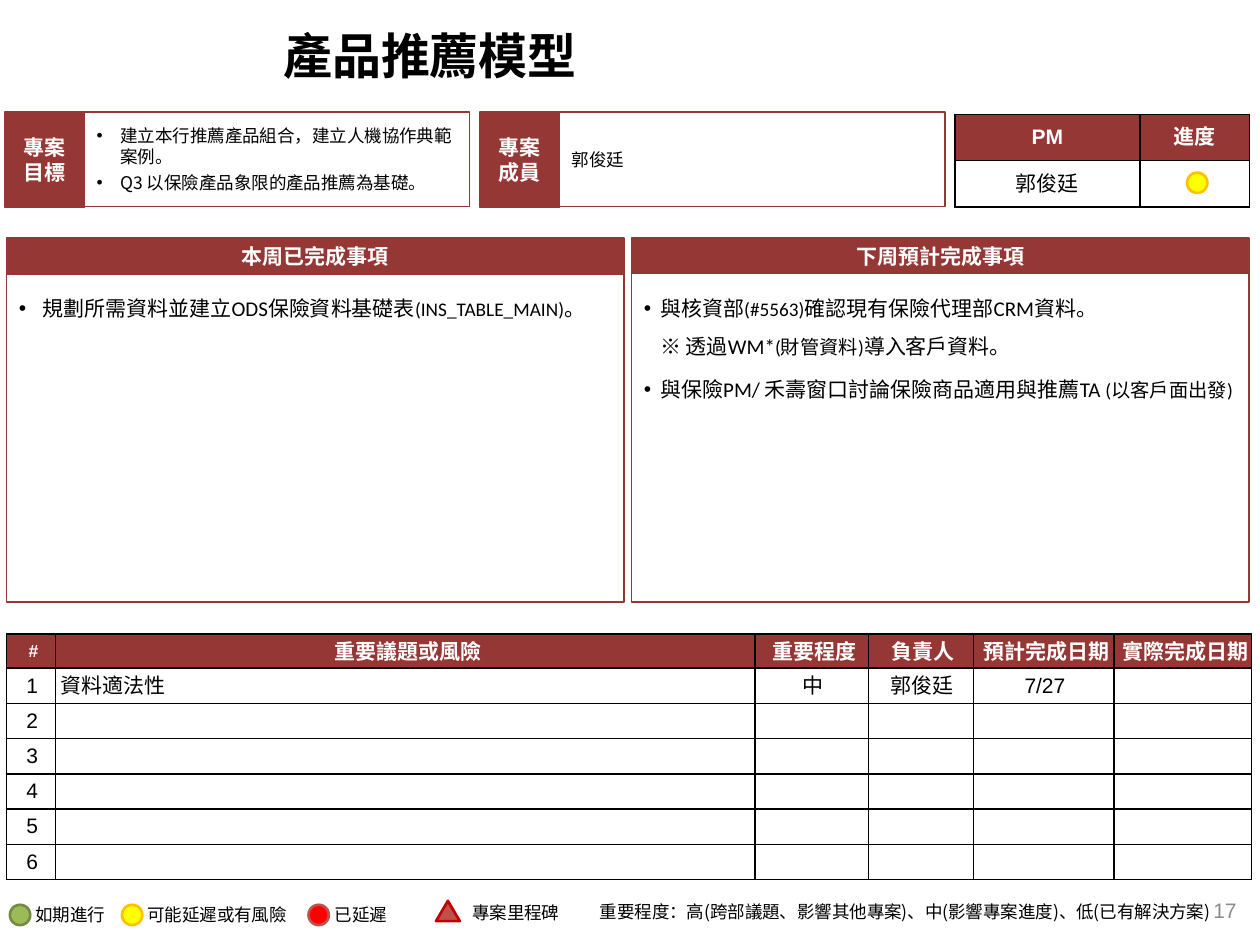
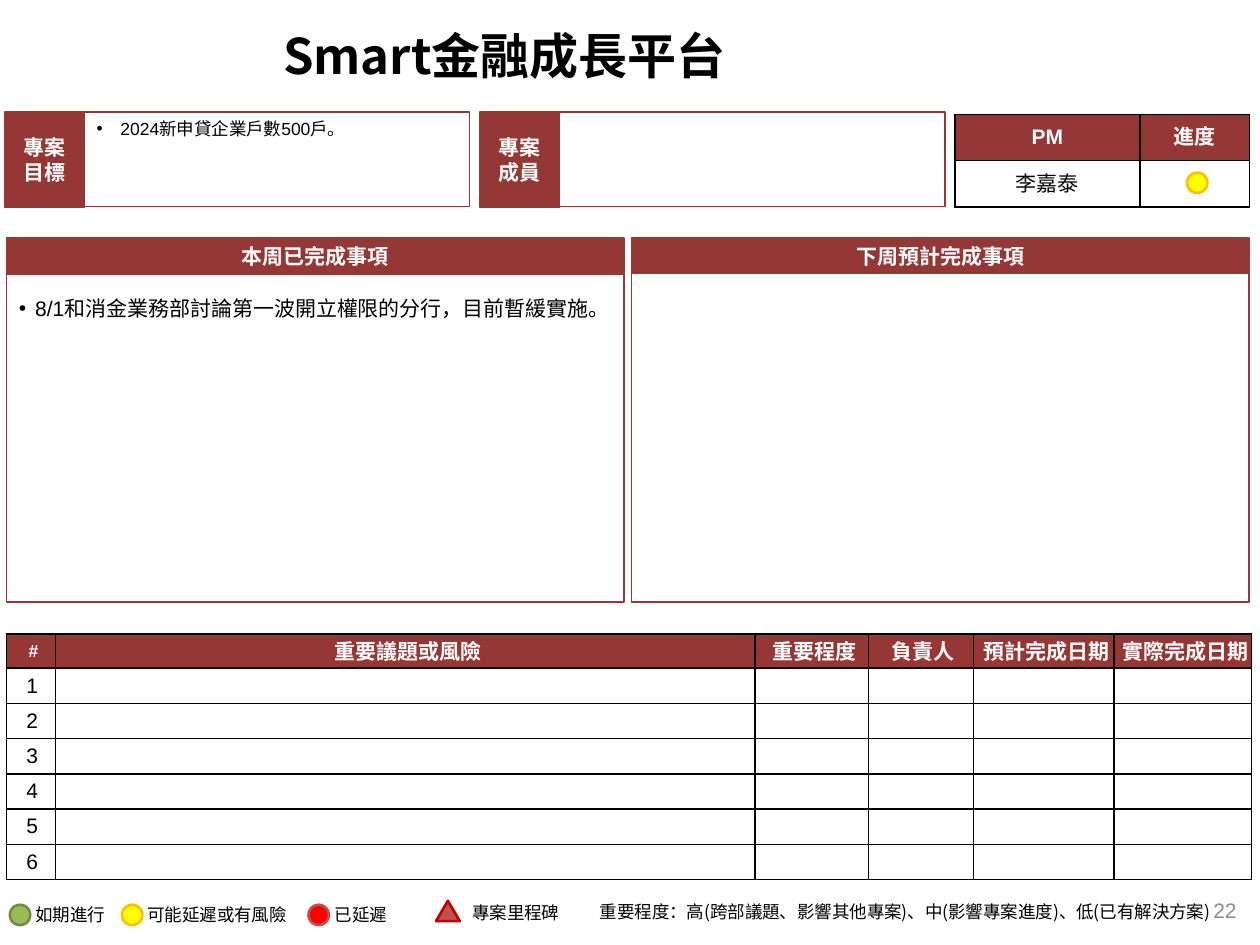
from lxml import etree
from pptx import Presentation
from pptx.dml.color import RGBColor
from pptx.enum.shapes import MSO_SHAPE
from pptx.enum.text import MSO_ANCHOR, PP_ALIGN
from pptx.oxml.ns import qn
from pptx.util import Cm, Pt

RECT, OVAL, TRIANGLE = MSO_SHAPE.RECTANGLE, MSO_SHAPE.OVAL, MSO_SHAPE.ISOSCELES_TRIANGLE
LEFT, CENTER, RIGHT = PP_ALIGN.LEFT, PP_ALIGN.CENTER, PP_ALIGN.RIGHT
TOP, MIDDLE = MSO_ANCHOR.TOP, MSO_ANCHOR.MIDDLE
color = RGBColor.from_string

MAROON, WHITE, BLACK, GREY = "953735", "FFFFFF", "000000", "8C8C8C"
ARIAL, CALIBRI, NOTO = "Arial", "Calibri", "Noto Sans CJK SC"
ON_TRACK, AT_RISK, LATE = ("9BBB59", "738A42"), ("FFFF00", "FFC000"), ("FF0000", "C0504D")
MILESTONE = ("C0504D", "C00000")
DOT = 0.41
LINE_BREAK = ("\n", 12)

ISSUE_HEADINGS = ["#", "重要議題或風險", "重要程度", "負責人", "預計完成日期", "實際完成日期"]
ISSUE_ROWS = 6
LEGEND = [
    (ON_TRACK, 0.2, "如期進行", 0.46, 1.93),
    (AT_RISK, 2.46, "可能延遲或有風險", 2.72, 3.35),
    (LATE, 6.22, "已延遲", 6.5, 1.57),
]
SEVERITY_NOTE = "重要程度：高(跨部議題、影響其他專案)、中(影響專案進度)、低(已有解決方案)"

PROJECTS = [
    {
        "title": "產品推薦模型", "title_font": ARIAL, "page": "17", "pm": "郭俊廷",
        "members": [[("郭俊廷", 10)]],
        "goals": [
            [("建立本行推薦產品組合，建立人機協作典範案例。", 10)],
            [("Q3 以保險產品象限的產品推薦為基礎。", 10)],
        ],
        "goal_font": NOTO, "goal_anchor": MIDDLE,
        "done": [[("規劃所需資料並建立ODS保險資料基礎表", 12), ("(INS_TABLE_MAIN)", 11), ("。", 12)]],
        "done_font": CALIBRI, "done_indent": 0.48,
        "next": [
            [("與核資部", 12), ("(#5563)", 11), ("確認現有保險代理部CRM資料。", 12), LINE_BREAK,
             ("※ 透過WM*", 12), ("(財管資料)", 11), ("導入客戶資料。", 12)],
            [("與保險PM/ 禾壽窗口討論保險商品適用與推薦TA ", 12), ("(以客戶面出發)", 11)],
        ],
        "issues": [["資料適法性", "中", "郭俊廷", "7/27", ""]],
    },
    {
        "title": "Smart金融成長平台", "title_font": NOTO, "page": "22", "pm": "李嘉泰",
        "members": [],
        "goals": [[("2024新申貸企業戶數500戶。", 10)]],
        "goal_font": ARIAL, "goal_anchor": TOP,
        "done": [[("8/1和消金業務部討論第一波開立權限的分行，目前暫緩實施。", 12)]],
        "done_font": ARIAL, "done_indent": 0.33,
        "next": [],
        "issues": [],
    },
]


def write(frame, paragraphs, font=ARIAL, ink=BLACK, bold=False, align=LEFT,
          indent=0, line_spacing=None, after=0):
    """Fill a text frame with paragraphs, each a list of (text, size) runs; an indent adds bullets."""
    for number, runs in enumerate(paragraphs):
        paragraph = frame.add_paragraph() if number else frame.paragraphs[0]
        paragraph.alignment = align
        paragraph.space_after = Pt(after)
        if line_spacing:
            paragraph.line_spacing = line_spacing
        if indent:
            properties = paragraph._p.get_or_add_pPr()
            properties.set("marL", str(Cm(indent)))
            properties.set("indent", str(-Cm(indent)))
            etree.SubElement(properties, qn("a:buFont"), typeface=ARIAL)
            etree.SubElement(properties, qn("a:buChar"), char="•")
        for text, size in runs:
            if text == "\n":
                paragraph.add_line_break()
                continue
            if not text:
                etree.SubElement(paragraph._p, qn("a:endParaRPr"), sz=str(size * 100))
                continue
            run = paragraph.add_run()
            run.text = text
            run.font.size = Pt(size)
            run.font.name = font
            run.font.bold = bold
            run.font.color.rgb = color(ink)
            etree.SubElement(run._r.get_or_add_rPr(), qn("a:ea"), typeface=font)


def add_box(slide, place, kind=None, fill=None, line=None, weight=0.75, anchor=TOP, wrap=True):
    """Add a shape, or a text box when no kind is given, and return its text frame."""
    lengths = [Cm(length) for length in place]
    if kind is None:
        box = slide.shapes.add_textbox(*lengths)
    else:
        box = slide.shapes.add_shape(kind, *lengths)
        box.shadow.inherit = False
        box.line.color.rgb = color(line)
        box.line.width = Pt(weight)
        if fill:
            box.fill.solid()
            box.fill.fore_color.rgb = color(fill)
        else:
            box.fill.background()
    box.text_frame.word_wrap = wrap
    box.text_frame.vertical_anchor = anchor
    return box.text_frame


prs = Presentation()
prs.slide_width, prs.slide_height = Cm(25.4), Cm(19.05)

for project in PROJECTS:
    slide = prs.slides.add_slide(prs.slide_layouts[6])

    page = add_box(slide, (19.46, 17.83, 5.72, 1.02), anchor=MIDDLE)
    write(page, [[(project["page"], 12)]], ink=GREY, align=RIGHT)
    title = add_box(slide, (5.46, 0.23, 19.35, 1.75), anchor=MIDDLE)
    write(title, [[(project["title"], 28)]], font=project["title_font"], bold=True)

    # Goal and member panels
    panels = [
        (0.1, "目標", project["goals"], project["goal_font"], project["goal_anchor"], 0.48),
        (9.68, "成員", project["members"], NOTO, MIDDLE, 0),
    ]
    for left, topic, content, font, anchor, indent in panels:
        label = add_box(slide, (left, 2.26, 1.6, 1.93), RECT, MAROON, MAROON, anchor=MIDDLE)
        write(label, [[("專案", 12)], [(topic, 12)]], ink=WHITE, bold=True, align=CENTER)
        panel = add_box(slide, (left + 1.6, 2.26, 7.77, 1.9), RECT, line=MAROON, anchor=anchor)
        write(panel, content, font=font, indent=indent, after=2.8)

    # Finished work and planned work
    weeks = [
        (0.13, 0.73, "本周已完成事項", project["done"], project["done_font"], project["done_indent"]),
        (12.73, 0.71, "下周預計完成事項", project["next"], CALIBRI, 0.33),
    ]
    for left, band_height, heading, content, font, indent in weeks:
        band = add_box(slide, (left, 4.8, 12.45, band_height), RECT, MAROON, MAROON, anchor=MIDDLE)
        write(band, [[(heading, 12)]], ink=WHITE, bold=True, align=CENTER, after=2.8)
        body = add_box(slide, (left, 5.51, 12.45, 6.63), RECT, line=MAROON)
        body.margin_top = body.margin_bottom = Cm(0.2)
        write(body, content, font=font, indent=indent, line_spacing=1.5, after=2.8)

    # Manager table and issue table
    issue_texts = [ISSUE_HEADINGS]
    for number in range(ISSUE_ROWS):
        details = project["issues"][number] if number < len(project["issues"]) else [""] * 5
        issue_texts.append([str(number + 1)] + details)
    tables = [
        (19.25, 2.31, [3.73, 2.21], [0.93] * 2, [["PM", "進度"], [project["pm"], ""]], False),
        (0.13, 12.78, [0.99, 14.1, 2.29, 2.11, 2.84, 2.77], [0.69] + [0.71] * ISSUE_ROWS,
         issue_texts, True),
    ]
    for left, top, widths, heights, texts, tight in tables:
        table = slide.shapes.add_table(len(heights), len(widths), Cm(left), Cm(top),
                                       Cm(sum(widths)), Cm(sum(heights))).table
        table.horz_banding = False
        for column, width in zip(table.columns, widths):
            column.width = Cm(width)
        for row, height in zip(table.rows, heights):
            row.height = Cm(height)
        for r, row_texts in enumerate(texts):
            for c, text in enumerate(row_texts):
                cell = table.cell(r, c)
                header = r == 0
                cell.vertical_anchor = MIDDLE
                if tight:
                    cell.margin_left = Cm(0.1)
                    cell.margin_right = Cm(0 if header else 0.05)
                    cell.margin_top = cell.margin_bottom = 0
                write(cell.text_frame, [[(text, 10 if text == "#" else 12)]],
                      ink=WHITE if header else BLACK, bold=header,
                      align=LEFT if tight and c == 1 and not header else CENTER,
                      line_spacing=1.06 if tight and header else None,
                      after=2.8 if header and not tight else 0)
                properties = cell._tc.get_or_add_tcPr()
                for side in ("a:lnL", "a:lnR", "a:lnT", "a:lnB"):
                    border = etree.SubElement(properties, qn(side), w=str(Pt(1)))
                    paint = etree.SubElement(border, qn("a:solidFill"))
                    etree.SubElement(paint, qn("a:srgbClr"), val=BLACK)
                cell.fill.solid()
                cell.fill.fore_color.rgb = color(MAROON if header else WHITE)
    add_box(slide, (23.93, 3.48, DOT, DOT), OVAL, *AT_RISK, weight=1.5)

    # Legend
    for status, dot_left, meaning, text_left, width in LEGEND:
        add_box(slide, (dot_left, 18.24, DOT, DOT), OVAL, *status, weight=1.5)
        label = add_box(slide, (text_left, 18.09, width, 0.69), wrap=False)
        write(label, [[(meaning, 10)]])
    add_box(slide, (8.79, 18.16, 0.48, DOT), TRIANGLE, *MILESTONE, weight=1.5)
    write(add_box(slide, (9.27, 18.06, 2.57, 0.69)), [[("專案里程碑", 10)]], font=NOTO)
    note = add_box(slide, (11.84, 17.91, 13, 0.94))
    note.margin_top = note.margin_bottom = Cm(0.25)
    write(note, [[(SEVERITY_NOTE, 10)]], font=NOTO)

prs.save("out.pptx")
